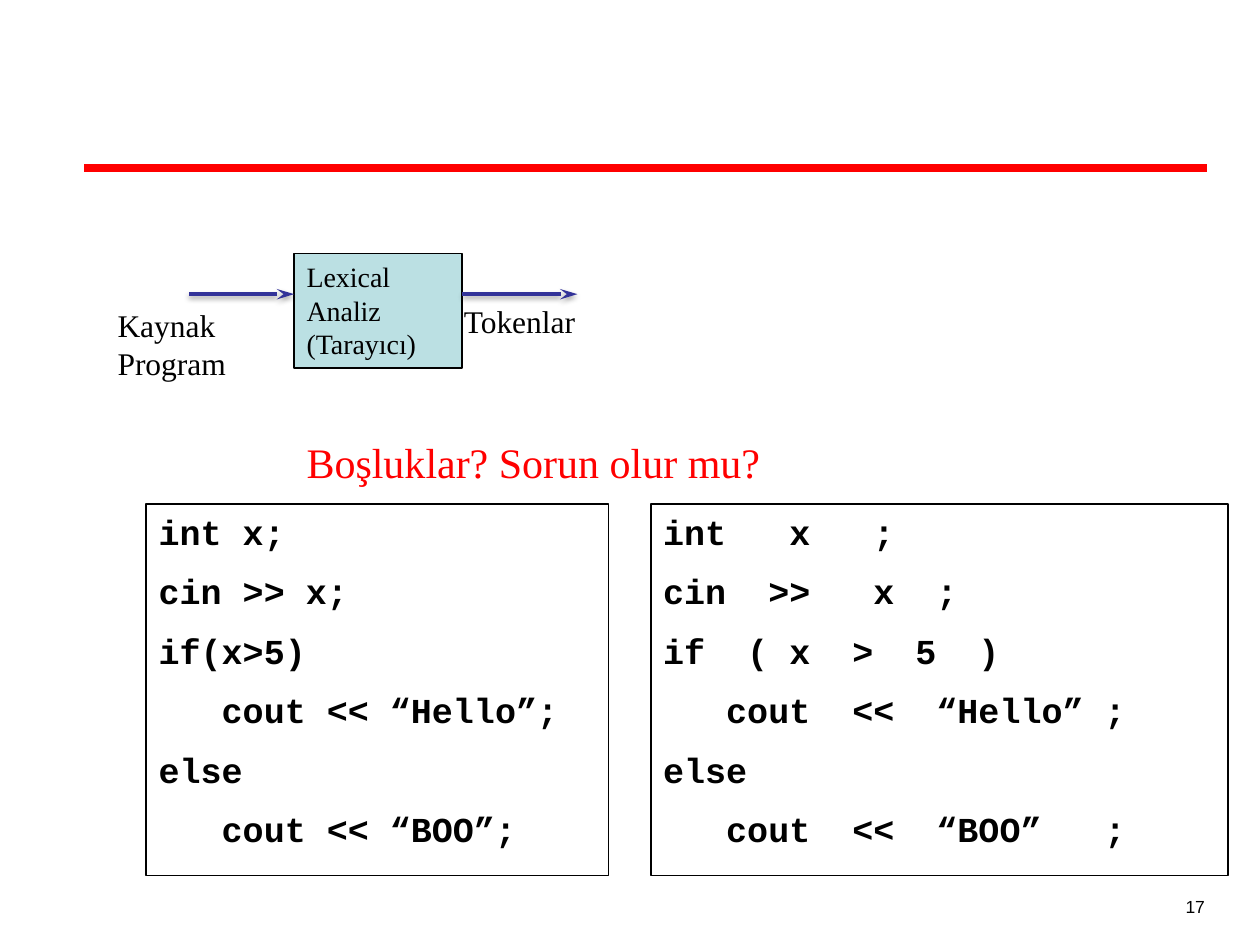
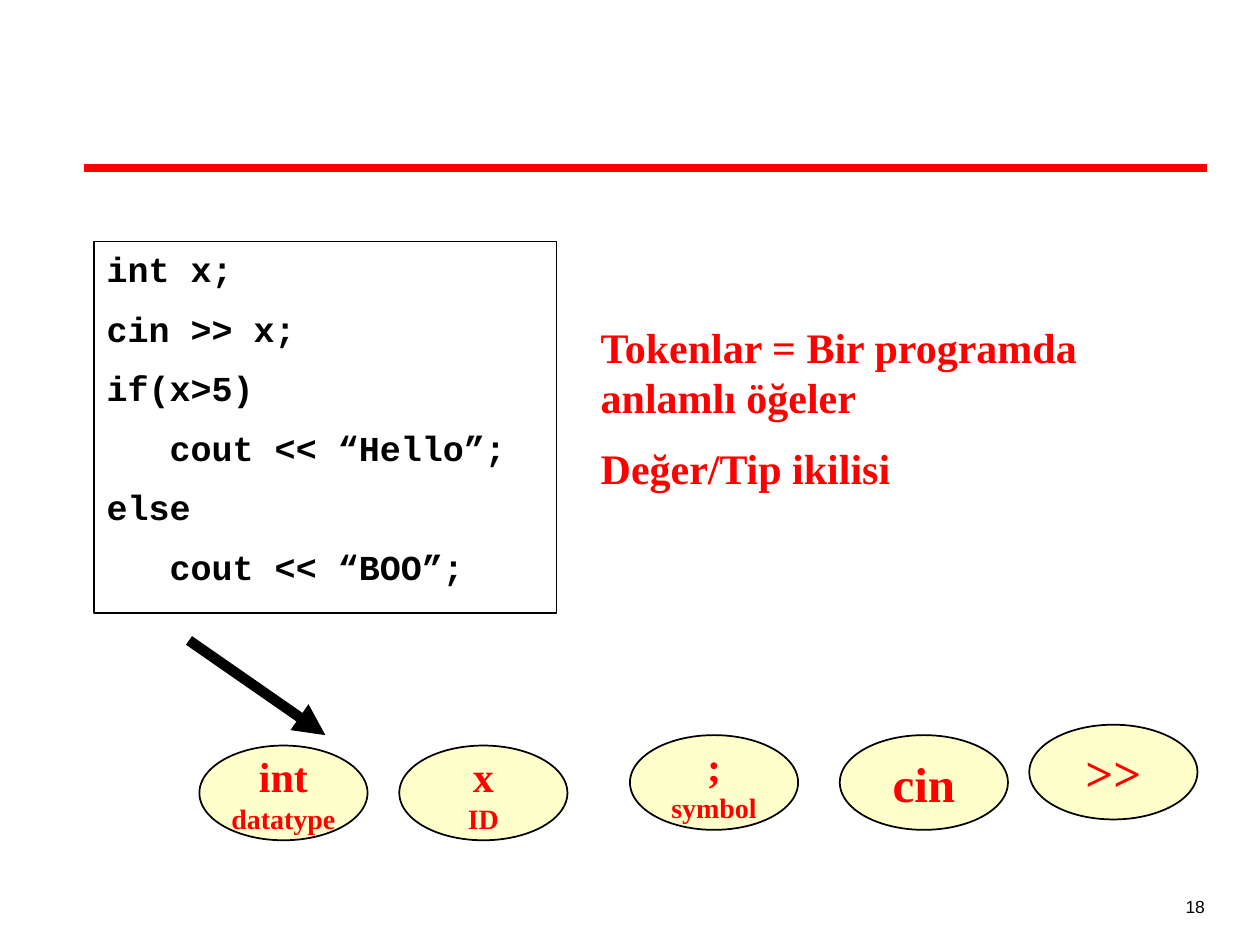
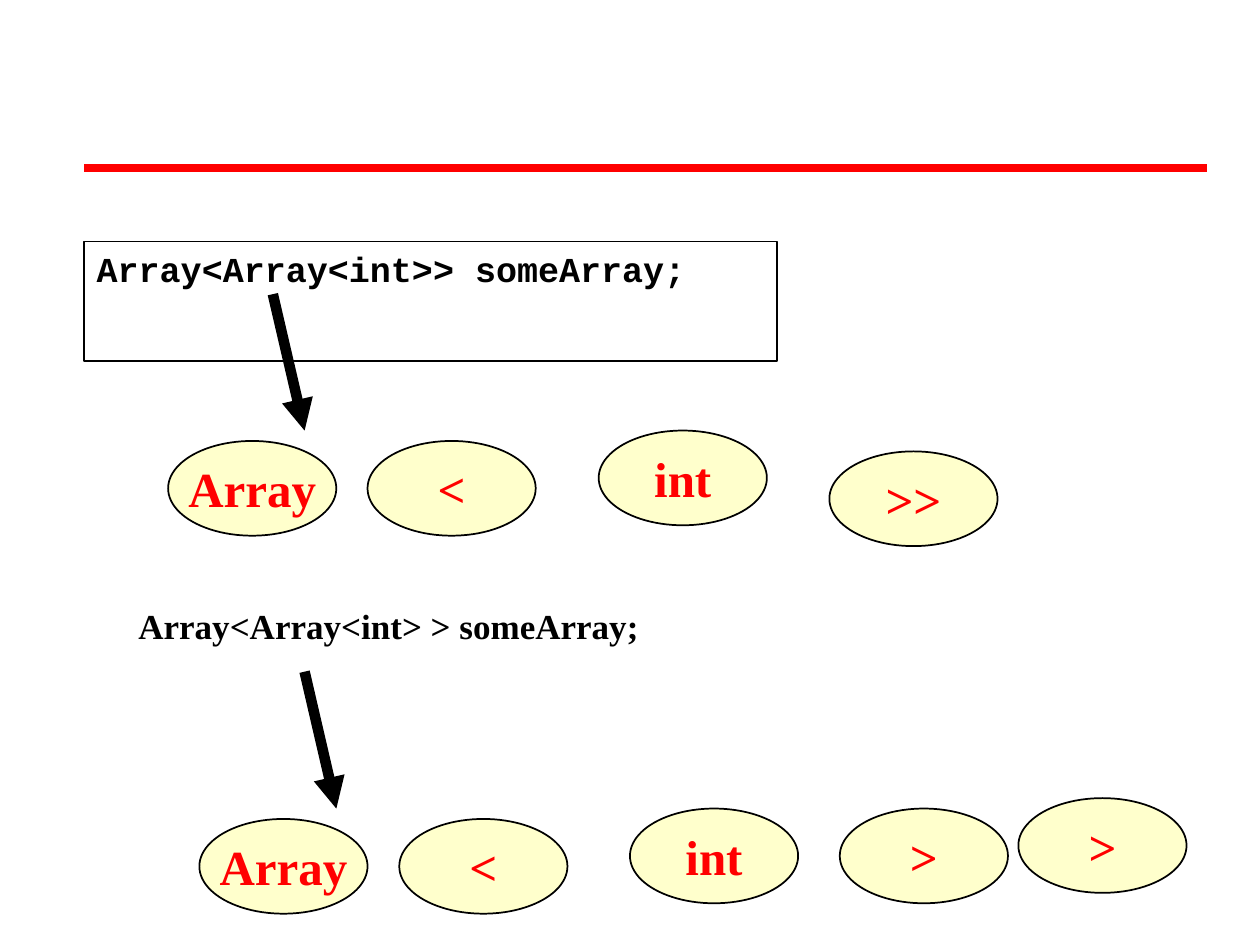
"""Build three slides on splitting source code into tokens."""
from dataclasses import dataclass

from lxml.etree import SubElement
from pptx import Presentation
from pptx.dml.color import RGBColor
from pptx.enum.shapes import MSO_CONNECTOR, MSO_SHAPE
from pptx.enum.text import MSO_ANCHOR, PP_ALIGN
from pptx.oxml.ns import qn
from pptx.util import Cm, Pt


@dataclass(frozen=True)
class Theme:
    """Colours, fonts and sizes shared by the slides."""
    black: str = "000000"
    red: str = "FF0000"
    indigo: str = "333399"
    aqua: str = "BBE0E3"
    cream: str = "FFFFCC"
    serif: str = "Times New Roman"
    sans: str = "Arial"
    mono: str = "Courier New"
    number: int = 10
    small: int = 16
    label: int = 18
    code: int = 20
    heading: int = 24
    token: int = 28


THEME = Theme()
TOKEN_SIZE = (3.39, 1.91)
LISTING_SIZE = (9.32, 7.49)
NUMBER_AREA = (19.26, 17.35, 5.28, 1.27)
TITLE_RULE = ((1.7, 3.39), (24.34, 3.39), THEME.red, 4.5)

CODE = dict(name=THEME.mono, size=THEME.code, bold=True)
HEADING = dict(size=THEME.heading, color=THEME.red)
LABEL = dict(size=THEME.label)

TIGHT = ["int x;", "cin >> x;", "if(x>5)", "   cout << “Hello”;", "else", "   cout << “BOO”;"]
LOOSE = ["int   x   ;", "cin  >>   x  ;", "if  ( x  >  5  )",
         "   cout  <<  “Hello” ;", "else", "   cout  <<  “BOO”   ;"]

PAGES = [
    dict(
        number="17",
        boxes=[
            ((2.95, 10.16, *LISTING_SIZE), TIGHT, CODE, None),
            ((13.12, 10.16, 11.64, 7.49), LOOSE, CODE, None),
            ((5.93, 5.11, 3.39, 2.31), ["Lexical Analiz (Tarayıcı)"],
             dict(size=THEME.small), THEME.aqua),
        ],
        texts=[
            ((5.93, 8.68, 15.67, 1.27), ["Boşluklar? Sorun olur mu?"], HEADING),
            ((2.12, 6.05, 4.01, 1.8), ["Kaynak Program"], LABEL),
            ((9.1, 5.97, 3.25, 1.02), ["Tokenlar"], LABEL),
        ],
        flows=[((3.81, 5.93), (5.93, 5.93)), ((9.32, 5.93), (11.64, 5.93))],
    ),
    dict(
        number="18",
        boxes=[((1.9, 4.87, *LISTING_SIZE), TIGHT, CODE, None)],
        texts=[((11.86, 6.35, 11.85, 3.84),
                ["Tokenlar = Bir programda anlamlı öğeler", "Değer/Tip ikilisi"],
                dict(HEADING, bold=True))],
        pointers=[((3.81, 12.91), (6.56, 14.82))],
        tokens=[(4.02, 15.03, "int", "datatype"), (8.05, 15.03, "x", "ID"),
                (12.7, 14.82, ";", "symbol"), (16.93, 14.82, "cin"), (20.75, 14.61, ">>")],
    ),
    dict(
        boxes=[((1.7, 4.87, 13.97, 2.41), ["Array<Array<int>> someArray;"], CODE, None)],
        texts=[((2.54, 12.07, 12, 1.09), ["Array<Array<int> > someArray;"],
                dict(size=THEME.code, bold=True, spaced=False))],
        pointers=[((5.5, 5.93), (6.14, 8.68)), ((6.14, 13.54), (6.78, 16.3))],
        tokens=[(3.39, 8.89, "Array"), (7.41, 8.89, "<"), (12.07, 8.68, "int"),
                (16.72, 9.1, ">>"), (4.02, 16.51, "Array"), (8.05, 16.51, "<"),
                (12.7, 16.3, "int"), (16.93, 16.3, ">"), (20.53, 16.09, ">")],
    ),
]


def cms(values):
    """Turn numbers into centimetre lengths."""
    return [Cm(value) for value in values]


def add_para(frame, index, text, size, name=THEME.serif, color=THEME.black,
             bold=False, align=PP_ALIGN.LEFT, spaced=True):
    """Write one paragraph, with half a line before it when spaced."""
    para = frame.add_paragraph() if index else frame.paragraphs[0]
    para.alignment = align
    if spaced:
        before = SubElement(para._p.get_or_add_pPr(), qn("a:spcBef"))
        SubElement(before, qn("a:spcPct"), val="50000")
    span = para.add_run()
    span.text = text
    for key, value in dict(name=name, size=Pt(size), bold=bold).items():
        setattr(span.font, key, value)
    span.font.color.rgb = RGBColor.from_string(color)


def add_text(page, area, lines, style, anchor=MSO_ANCHOR.TOP):
    """Add a wrapping text box."""
    frame = page.shapes.add_textbox(*cms(area)).text_frame
    frame.word_wrap = True
    frame.vertical_anchor = anchor
    for index, line in enumerate(lines):
        add_para(frame, index, line, **style)


def add_outlined(page, kind, area, fill, anchor, wrap):
    """Add a thin black outlined shape and return its text frame."""
    shape = page.shapes.add_shape(kind, *cms(area))
    shape.shadow.inherit = False
    if fill:
        shape.fill.solid()
        shape.fill.fore_color.rgb = RGBColor.from_string(fill)
    else:
        shape.fill.background()
    shape.line.color.rgb = RGBColor.from_string(THEME.black)
    shape.line.width = Pt(1)
    shape.text_frame.word_wrap = wrap
    shape.text_frame.vertical_anchor = anchor
    return shape.text_frame


def add_box(page, area, lines, style, fill):
    """Add a rectangle with text from its top left."""
    frame = add_outlined(page, MSO_SHAPE.RECTANGLE, area, fill, MSO_ANCHOR.TOP, True)
    for index, line in enumerate(lines):
        add_para(frame, index, line, **style)


def add_token(page, left, top, value, kind=None):
    """Add an oval holding a token and, if known, its type."""
    frame = add_outlined(page, MSO_SHAPE.OVAL, (left, top, *TOKEN_SIZE),
                         THEME.cream, MSO_ANCHOR.MIDDLE, False)
    lines = [(value, THEME.heading), (kind, THEME.small)] if kind else [(value, THEME.token)]
    for index, (text, size) in enumerate(lines):
        add_para(frame, index, text, size, color=THEME.red, bold=True,
                 align=PP_ALIGN.CENTER, spaced=False)


def add_line(page, start, end, color, width, head=None, shadow=False):
    """Add a straight line with an optional arrowhead and soft shadow."""
    line = page.shapes.add_connector(MSO_CONNECTOR.STRAIGHT, *cms(start + end))
    line.line.color.rgb = RGBColor.from_string(color)
    line.line.width = Pt(width)
    if head:
        SubElement(line.line._get_or_add_ln(), qn("a:tailEnd"), head)
    effects = SubElement(line._element.spPr, qn("a:effectLst"))
    if shadow:
        outer = SubElement(effects, qn("a:outerShdw"), blurRad="40000", dist="20000",
                           dir="5400000", rotWithShape="0")
        tint = SubElement(outer, qn("a:srgbClr"), val=THEME.black)
        SubElement(tint, qn("a:alpha"), val="38000")
    return line


def add_page(deck, layout, content):
    """Add one slide from its content."""
    page = deck.slides.add_slide(layout)
    if "number" in content:
        add_text(page, NUMBER_AREA, [content["number"]],
                 dict(size=THEME.number, name=THEME.sans, align=PP_ALIGN.RIGHT, spaced=False),
                 MSO_ANCHOR.BOTTOM)
    for box in content["boxes"]:
        add_box(page, *box)
    for text in content["texts"]:
        add_text(page, *text)
    for start, end in content.get("flows", []):
        add_line(page, start, end, THEME.indigo, 2, dict(type="stealth", len="lg"), True)
    for start, end in content.get("pointers", []):
        add_line(page, start, end, THEME.black, 6, dict(type="triangle"))
    for token in content.get("tokens", []):
        add_token(page, *token)
    return page


def main():
    """Build and save the deck."""
    deck = Presentation()
    deck.slide_width, deck.slide_height = cms((25.4, 19.05))
    layout = deck.slide_layouts[6]
    pages = [add_page(deck, layout, content) for content in PAGES]
    layout.shapes.element.append(add_line(pages[0], *TITLE_RULE)._element)
    deck.save("out.pptx")


if __name__ == "__main__":
    main()
